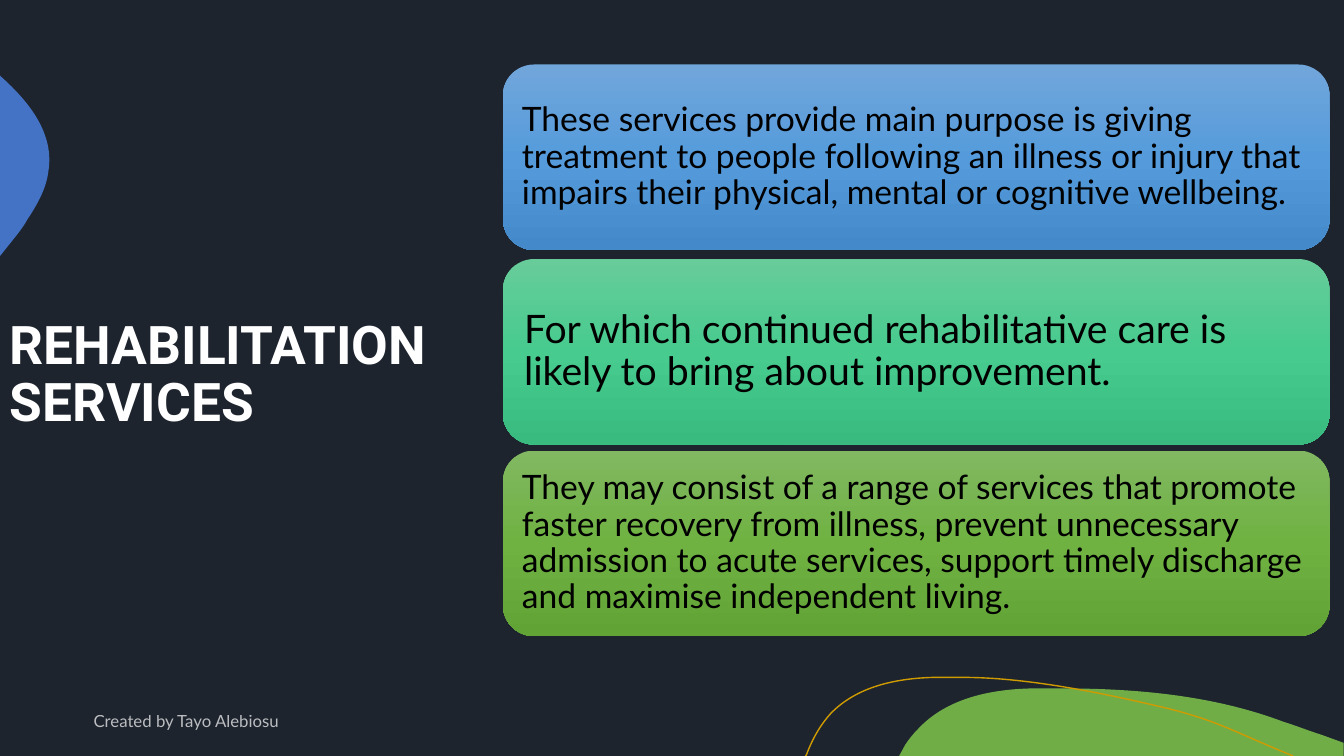
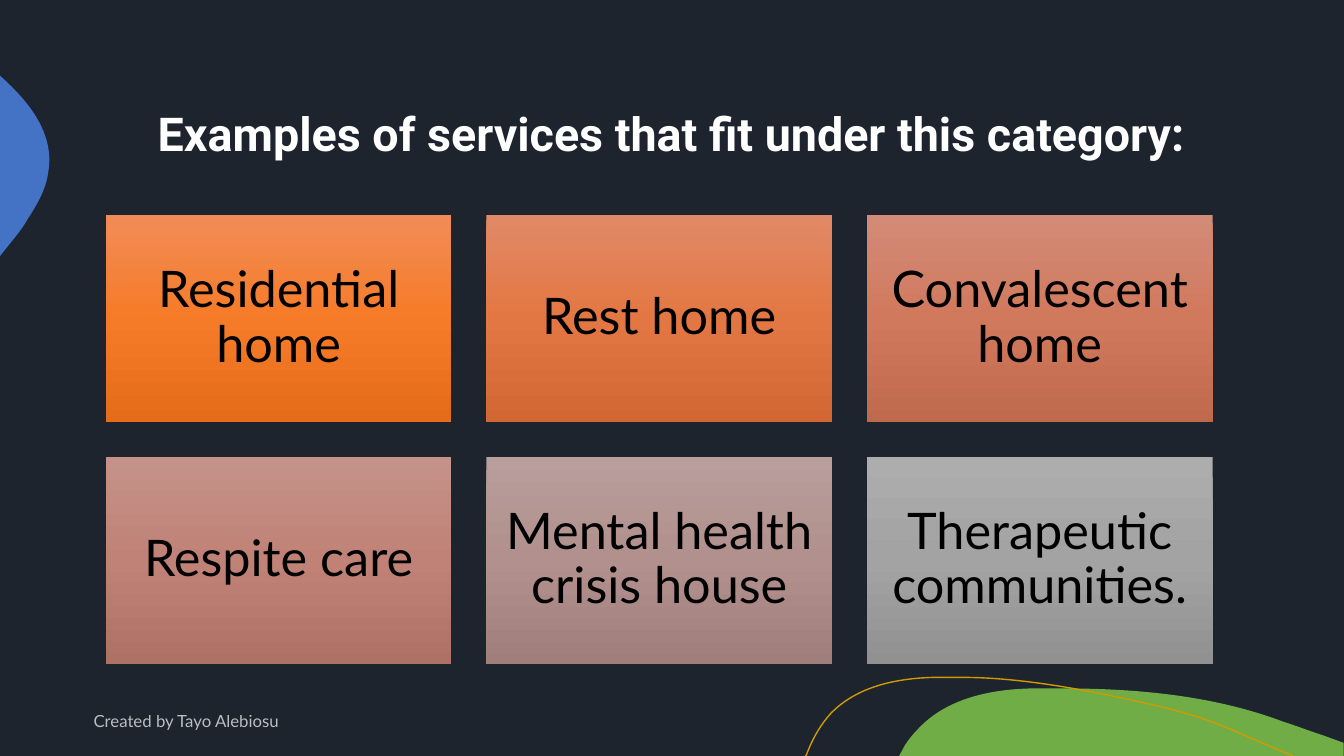
from dataclasses import dataclass

import lxml.etree
import pptx
import pptx.dml.color
import pptx.enum.shapes
import pptx.enum.text
import pptx.oxml.ns
import pptx.util

EMU_PER_PX = 9144  # 100 px to the inch
SLIDE_WIDTH = pptx.util.Emu(12192000)
SLIDE_HEIGHT = pptx.util.Emu(6858000)

BACKGROUND = "1D242E"
WHITE = "FFFFFF"
BLACK = "000000"
TITLE_FONT = "Roboto"
BODY_FONT = "Lato"

LEFT = pptx.enum.text.PP_ALIGN.LEFT
CENTER = pptx.enum.text.PP_ALIGN.CENTER
ROUNDED = pptx.enum.shapes.MSO_SHAPE.ROUNDED_RECTANGLE
RECTANGLE = pptx.enum.shapes.MSO_SHAPE.RECTANGLE
qn = pptx.oxml.ns.qn


@dataclass(frozen=True)
class Box:
    left: float
    top: float
    width: int
    height: int


@dataclass(frozen=True)
class TextStyle:
    font: str
    size: float
    color: str
    bold: bool = False
    align: int = LEFT
    line_spacing: float = 0.9
    inset: int = 10
    alpha: int = 100


@dataclass(frozen=True)
class Blob:
    """An outline in px: two numbers make a line, six make a cubic curve."""
    start: tuple[int, int]
    segments: tuple[tuple[int, ...], ...]
    fill: str = ""
    line: str = ""


@dataclass(frozen=True)
class Card:
    text: str
    gradient: tuple[str, str, str]


@dataclass(frozen=True)
class PurposeCard(Card):
    top: int
    size: int
    inset: int


BLOBS = (
    Blob((1054, 683), (
        (1128, 683, 1204, 690, 1273, 716),
        (1286, 720, 1298, 725, 1311, 729),
        (1333, 737), (1333, 750), (892, 750), (898, 739),
        (902, 733, 906, 728, 911, 723),
        (939, 693, 982, 684, 1023, 683),
        (1033, 683, 1043, 683, 1054, 683),
    ), fill="70AD47"),
    Blob((0, 75), (
        (1, 76),
        (30, 102, 54, 133, 48, 170),
        (46, 187, 37, 203, 27, 218),
        (24, 224, 17, 233, 8, 244),
        (0, 254),
    ), fill="4472C4"),
    Blob((799, 750), (
        (800, 749),
        (806, 733, 814, 719, 824, 708),
        (850, 681, 889, 673, 926, 672),
        (955, 672),
        (1022, 672, 1100, 689, 1155, 702),
        (1209, 715, 1226, 727, 1283, 750),
    ), line="CF9B00"),
)

PURPOSE_CARDS = (
    PurposeCard("These services provide main purpose is giving treatment to people "
                "following an illness or injury that impairs their physical, mental "
                "or cognitive wellbeing.",
                ("71A6DB", "559BDB", "448ACA"), top=64, size=24, inset=10),
    PurposeCard("For which continued rehabilitative care is likely to bring about "
                "improvement.",
                ("67CC9A", "47CB8E", "39BB7F"), top=257, size=28, inset=12),
    PurposeCard("They may consist of a range of services that promote faster recovery "
                "from illness, prevent unnecessary admission to acute services, "
                "support timely discharge and maximise independent living.",
                ("81B861", "6FB242", "62A336"), top=447, size=24, inset=10),
)

EXAMPLE_CARDS = (
    Card("Residential home", ("F18C57", "F67B28", "E56C19")),
    Card("Rest home", ("E18966", "E37743", "D26733")),
    Card("Convalescent home", ("D28B77", "D1795D", "BF694D")),
    Card("Respite care", ("C49289", "C08276", "AE7165")),
    Card("Mental health crisis house", ("B89E9C", "B1908D", "9F7E7C")),
    Card("Therapeutic communities.", ("ADADAD", "A3A3A3", "919191")),
)
GRID_COLUMNS = 3
GRID_CELL = Box(105, 213, 343, 206)
GRID_LAST_LEFT = 860
GRID_ROW_STEP = 240


def px(length: float) -> pptx.util.Emu:
    return pptx.util.Emu(round(length * EMU_PER_PX))


def rgb(color: str) -> pptx.dml.color.RGBColor:
    return pptx.dml.color.RGBColor.from_string(color)


def place(box: Box) -> tuple:
    return px(box.left), px(box.top), px(box.width), px(box.height)


def write(sp, text: str, style: TextStyle) -> None:
    tf = sp.text_frame
    tf.word_wrap = True
    tf.vertical_anchor = pptx.enum.text.MSO_ANCHOR.MIDDLE
    tf.margin_left = tf.margin_right = px(style.inset)
    tf.margin_top = tf.margin_bottom = px(style.inset)
    p = tf.paragraphs[0]
    p.alignment = style.align
    p.line_spacing = style.line_spacing
    r = p.add_run()
    r.text = text
    r.font.name = style.font
    r.font.size = pptx.util.Pt(style.size)
    r.font.bold = style.bold
    r.font.color.rgb = rgb(style.color)
    if style.alpha < 100:
        color = r._r.find(".//" + qn("a:srgbClr"))
        lxml.etree.SubElement(color, qn("a:alpha"), val=str(style.alpha * 1000))


def add_text(slide, box: Box, text: str, style: TextStyle) -> None:
    write(slide.shapes.add_textbox(*place(box)), text, style)


def fill_gradient(sp, colors: tuple[str, str, str]) -> None:
    """Fill from top to bottom with evenly spaced stops."""
    sp.fill.gradient()
    sp.fill.gradient_angle = 270
    stops = sp._element.spPr.find(".//" + qn("a:gsLst"))
    for stop in list(stops):
        stops.remove(stop)
    for i, color in enumerate(colors):
        stop = lxml.etree.SubElement(stops, qn("a:gs"), pos=str(i * 50000))
        lxml.etree.SubElement(stop, qn("a:srgbClr"), val=color)


def add_card(slide, shape_type, box: Box, card: Card, style: TextStyle) -> None:
    sp = slide.shapes.add_shape(shape_type, *place(box))
    sp.shadow.inherit = False
    sp.line.fill.background()
    fill_gradient(sp, card.gradient)
    write(sp, card.text, style)


def curve_segments(sp, segments: tuple[tuple[int, ...], ...]) -> None:
    """Replace the straight sides that stand for cubic curves."""
    sides = sp._element.spPr.findall(".//" + qn("a:lnTo"))
    for side, segment in zip(sides, segments):
        if len(segment) == 2:
            continue
        curve = lxml.etree.Element(qn("a:cubicBezTo"))
        for x, y in zip(segment[::2], segment[1::2]):
            lxml.etree.SubElement(curve, qn("a:pt"),
                                  x=str(px(x) - sp.left), y=str(px(y) - sp.top))
        side.getparent().replace(side, curve)


def add_blob(slide, blob: Blob) -> None:
    ends = [(px(segment[-2]), px(segment[-1])) for segment in blob.segments]
    builder = slide.shapes.build_freeform(px(blob.start[0]), px(blob.start[1]))
    builder.add_line_segments(ends, close=bool(blob.fill))
    sp = builder.convert_to_shape()
    curve_segments(sp, blob.segments)
    sp.shadow.inherit = False
    if blob.fill:
        sp.fill.solid()
        sp.fill.fore_color.rgb = rgb(blob.fill)
    else:
        sp.fill.background()
    if blob.line:
        sp.line.color.rgb = rgb(blob.line)
        sp.line.width = pptx.util.Pt(1)
    else:
        sp.line.fill.background()


def add_slide(prs, title: str, title_box: Box, size: float, align: int):
    """Add a slide with the shared decoration, title and footer."""
    slide = prs.slides.add_slide(prs.slide_layouts[6])
    for blob in BLOBS:
        add_blob(slide, blob)
    add_text(slide, title_box, title,
             TextStyle(TITLE_FONT, size, WHITE, bold=True, align=align))
    add_text(slide, Box(83, 695, 723, 40), "Created by Tayo Alebiosu",
             TextStyle(BODY_FONT, 12, WHITE, line_spacing=1.0, alpha=70))
    return slide


def add_purpose_slide(prs) -> None:
    slide = add_slide(prs, "REHABILITATION SERVICES", Box(0, 111, 468, 524), 38, LEFT)
    for card in PURPOSE_CARDS:
        add_card(slide, ROUNDED, Box(499, card.top, 820, 184), card,
                 TextStyle(BODY_FONT, card.size, BLACK, inset=card.inset))


def add_examples_slide(prs) -> None:
    slide = add_slide(prs, "Examples of services that fit under this category:",
                      Box(129, 90, 1075, 90), 33.3, CENTER)
    style = TextStyle(BODY_FONT, 36, BLACK, align=CENTER, inset=15)
    column_step = (GRID_LAST_LEFT - GRID_CELL.left) / (GRID_COLUMNS - 1)
    for i, card in enumerate(EXAMPLE_CARDS):
        row, column = divmod(i, GRID_COLUMNS)
        box = Box(GRID_CELL.left + column * column_step,
                  GRID_CELL.top + row * GRID_ROW_STEP,
                  GRID_CELL.width, GRID_CELL.height)
        add_card(slide, RECTANGLE, box, card, style)


def main() -> None:
    prs = pptx.Presentation()
    prs.slide_width, prs.slide_height = SLIDE_WIDTH, SLIDE_HEIGHT
    background = prs.slide_master.background.fill
    background.solid()
    background.fore_color.rgb = rgb(BACKGROUND)
    add_purpose_slide(prs)
    add_examples_slide(prs)
    prs.save("out.pptx")


if __name__ == "__main__":
    main()
